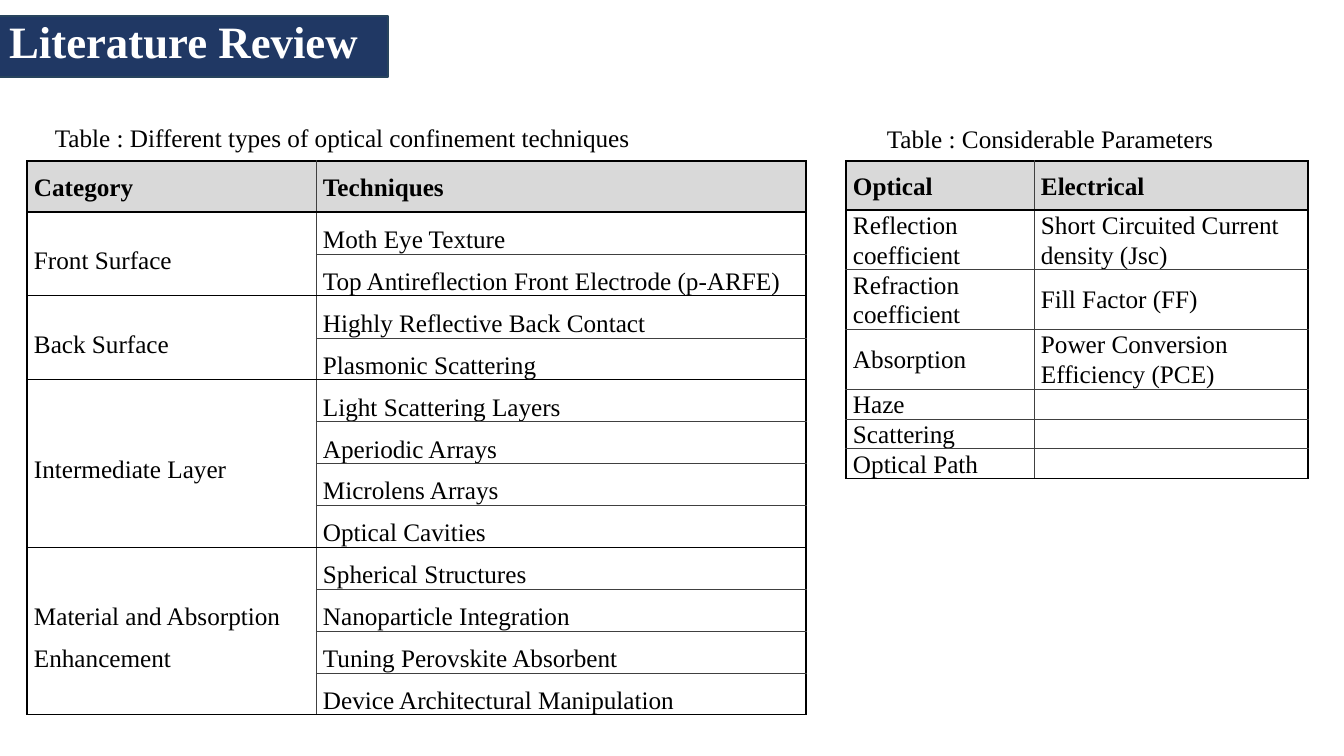
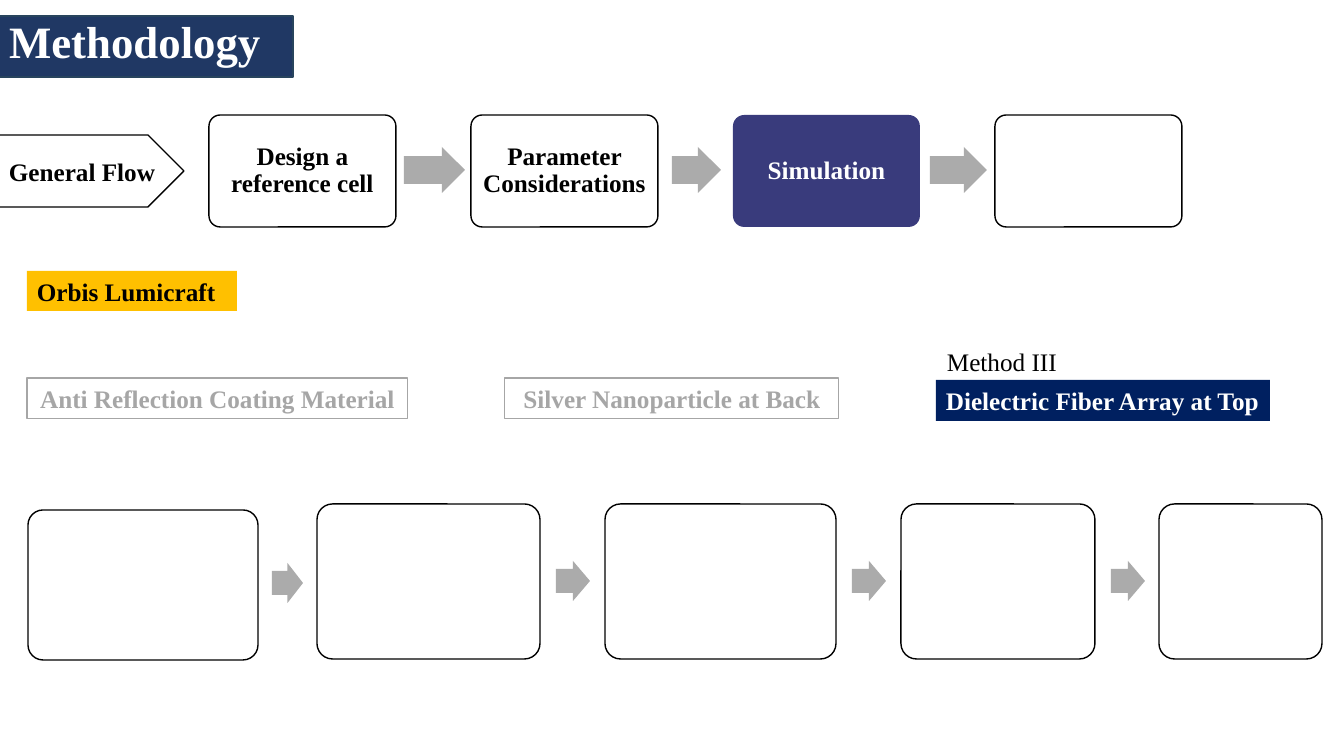
from lxml.etree import SubElement
from pptx import Presentation
from pptx.dml.color import RGBColor
from pptx.enum.shapes import MSO_SHAPE as SHAPE
from pptx.enum.text import MSO_ANCHOR as ANCHOR, MSO_AUTO_SIZE as AUTO, PP_ALIGN as ALIGN
from pptx.oxml.ns import qn
from pptx.util import Pt

# Shared look
PX = 12192000 / 1344
FONT = "Times New Roman"
COLORS = {
    "band": "203864", "band_line": "28445D", "black": "000000", "white": "FFFFFF",
    "header": "D9D9D9", "grid": "404040", "arrow": "ABABAB", "muted": "A6A6A6",
    "active": "393B7C", "navy": "002060", "amber": "FFC000",
}
RGB = {name: RGBColor.from_string(value) for name, value in COLORS.items()}


def set_text(tf, text, color="black", bold=False, size=18, align=ALIGN.LEFT, spacing=1.0):
    tf.text = text
    p = tf.paragraphs[0]
    p.alignment = align
    p.line_spacing = spacing
    for r in p.runs:
        r.font.name, r.font.size, r.font.bold = FONT, Pt(size), bold
        r.font.color.rgb = RGB[color]


def add_box(sl, kind, at, fill=None, line=None, width=1):
    sp = sl.shapes.add_shape(kind, *[round(v * PX) for v in at])
    sp.shadow.inherit = False
    if fill:
        sp.fill.solid()
        sp.fill.fore_color.rgb = RGB[fill]
    else:
        sp.fill.background()
    if line:
        sp.line.color.rgb = RGB[line]
        sp.line.width = Pt(width)
    else:
        sp.line.fill.background()
    if kind == SHAPE.ROUNDED_RECTANGLE:
        sp.adjustments[0] = 0.1
    elif kind == SHAPE.RIGHT_ARROW:
        sp.adjustments[0], sp.adjustments[1] = 0.6, 0.5
    sp.text_frame.word_wrap = True
    return sp


prs = Presentation()
prs.slide_width, prs.slide_height = round(1344 * PX), round(756 * PX)

# Slides with title and band
slides = []
for title, band_width in [("Literature Review", 389), ("Methodology", 294)]:
    sl = prs.slides.add_slide(prs.slide_layouts[5])
    slides.append(sl)
    sp = sl.shapes.title
    sp.left, sp.top, sp.width, sp.height = [round(v * PX) for v in (-1, 15, 437, 78)]
    tf = sp.text_frame
    tf.auto_size = AUTO.NONE
    tf.vertical_anchor = ANCHOR.TOP
    set_text(tf, title, "white", True, 32, spacing=0.9)
    band = add_box(sl, SHAPE.RECTANGLE, (-1, 16, band_width, 61), "band", "band_line")
    sp._element.addprevious(band._element)
review, method = slides

# Captions
for sl, text, x, y, w in [
    (review, "Table : Considerable Parameters", 877, 118, 352),
    (review, "Table : Different types of optical confinement techniques", 45, 117, 601),
    (method, "Method III", 937, 341, 138),
]:
    sp = sl.shapes.add_textbox(*[round(v * PX) for v in (x, y, w, 40)])
    sp.text_frame.word_wrap = True
    set_text(sp.text_frame, text)

# Table contents
categories = [
    ("Front Surface", ["Moth Eye Texture", "Top Antireflection Front Electrode (p-ARFE)"]),
    ("Back Surface", ["Highly Reflective Back Contact", "Plasmonic Scattering"]),
    ("Intermediate Layer", ["Light Scattering Layers", "Aperiodic Arrays",
                            "Microlens Arrays", "Optical Cavities"]),
    ("Material and Absorption Enhancement", ["Spherical Structures", "Nanoparticle Integration",
                                             "Tuning Perovskite Absorbent",
                                             "Device Architectural Manipulation"]),
]
technique_rows = [("Category", "Techniques")]
groups = []
for category, techniques in categories:
    groups.append((len(technique_rows), len(techniques)))
    for n, technique in enumerate(techniques):
        technique_rows.append(("" if n else category, technique))
parameter_rows = [
    ("Optical", "Electrical"),
    ("Reflection coefficient", "Short Circuited Current density (Jsc)"),
    ("Refraction coefficient", "Fill Factor (FF)"),
    ("Absorption", "Power Conversion Efficiency (PCE)"),
    ("Haze", ""), ("Scattering", ""), ("Optical Path", ""),
]

# Tables: exact line spacing sets the body rows, which grow from low minimum heights
for rows, x, cols, heights, merges, leading in [
    (technique_rows, 27, (289, 490), [51] + [40] * 12, groups, Pt(29.9)),
    (parameter_rows, 846, (188, 274), [49] + [56] * 3 + [28] * 3, [], Pt(21.3)),
]:
    frame = review.shapes.add_table(len(rows), len(cols), *[
        round(v * PX) for v in (x, 161, sum(cols), sum(heights))])
    tbl = frame.table
    tbl.first_row = tbl.horz_banding = False
    for column, w in zip(tbl.columns, cols):
        column.width = round(w * PX)
    for row, h in zip(tbl.rows, heights):
        row.height = round(h * PX)
    for start, count in merges:
        tbl.cell(start, 0).merge(tbl.cell(start + count - 1, 0))
    heavy = {0, 1, len(rows)} | {start for start, count in merges}

    for i, texts in enumerate(rows):
        for j, text in enumerate(texts):
            cell = tbl.cell(i, j)
            cell.margin_left = cell.margin_right = round(7 * PX)
            cell.margin_top = cell.margin_bottom = 0
            cell.vertical_anchor = ANCHOR.MIDDLE
            set_text(cell.text_frame, text, bold=i == 0, spacing=leading if i else Pt(21.3))
            p = cell.text_frame.paragraphs[0]
            end = SubElement(p._p, qn("a:endParaRPr"), sz="1800" if text else "1200")
            SubElement(end, qn("a:latin"), typeface=FONT)

            # Borders come before the fill
            tcPr = cell._tc.get_or_add_tcPr()
            for side, strong in [
                ("L", j == 0), ("R", j == len(cols) - 1),
                ("T", i in heavy), ("B", i + cell.span_height in heavy),
            ]:
                ln = SubElement(tcPr, qn("a:ln" + side), w=str(Pt(1 if strong else 0.25)))
                fill = SubElement(ln, qn("a:solidFill"))
                SubElement(fill, qn("a:srgbClr"), val=COLORS["black" if strong else "grid"])
            if i == 0:
                cell.fill.solid()
                cell.fill.fore_color.rgb = RGB["header"]
            else:
                cell.fill.background()

# General flow
steps = ["Design a reference cell", "Parameter Considerations", "Simulation", ""]
for n, text in enumerate(steps):
    active = text == "Simulation"
    sp = add_box(method, SHAPE.ROUNDED_RECTANGLE, (209 + 262 * n, 115, 187, 112),
                 "active" if active else "white", None if active else "black")
    if text:
        tf = sp.text_frame
        tf.margin_left = tf.margin_right = round(7 * PX)
        tf.vertical_anchor = ANCHOR.MIDDLE
        set_text(tf, text, "white" if active else "black", True,
                 align=ALIGN.CENTER, spacing=0.9)

# Detailed flow
for x, y, w, h in [(28, 510, 230, 150), (317, 504, 223, 155), (605, 504, 231, 155),
                   (901, 504, 194, 155), (1159, 504, 163, 155)]:
    add_box(method, SHAPE.ROUNDED_RECTANGLE, (x, y, w, h), "white", "black")

# Arrows of both flows
for at in [(404, 147, 61, 46), (672, 147, 49, 46), (930, 147, 57, 46),
           (272, 563, 31, 40), (556, 561, 34, 40), (852, 561, 34, 40), (1111, 561, 34, 40)]:
    add_box(method, SHAPE.RIGHT_ARROW, at, "arrow")

# Labels
for kind, text, at, fill, line, color, align in [
    (SHAPE.PENTAGON, "General Flow", (-1, 135, 185, 72), None, "black", "black", ALIGN.LEFT),
    (SHAPE.RECTANGLE, "Orbis Lumicraft", (27, 271, 210, 40), "amber", None, "black", ALIGN.LEFT),
    (SHAPE.RECTANGLE, "Anti Reflection Coating Material", (27, 378, 381, 41),
     None, "muted", "muted", ALIGN.CENTER),
    (SHAPE.RECTANGLE, "Silver Nanoparticle at Back", (505, 378, 334, 41),
     None, "muted", "muted", ALIGN.CENTER),
    (SHAPE.RECTANGLE, "Dielectric Fiber Array at Top", (936, 380, 334, 41),
     "navy", None, "white", ALIGN.LEFT),
]:
    sp = add_box(method, kind, at, fill, line, 0.75 if line == "muted" else 1)
    tf = sp.text_frame
    tf.vertical_anchor = ANCHOR.MIDDLE
    if align == ALIGN.LEFT:
        tf.margin_right = 0
    set_text(tf, text, color, True, align=align)

prs.save("out.pptx")
